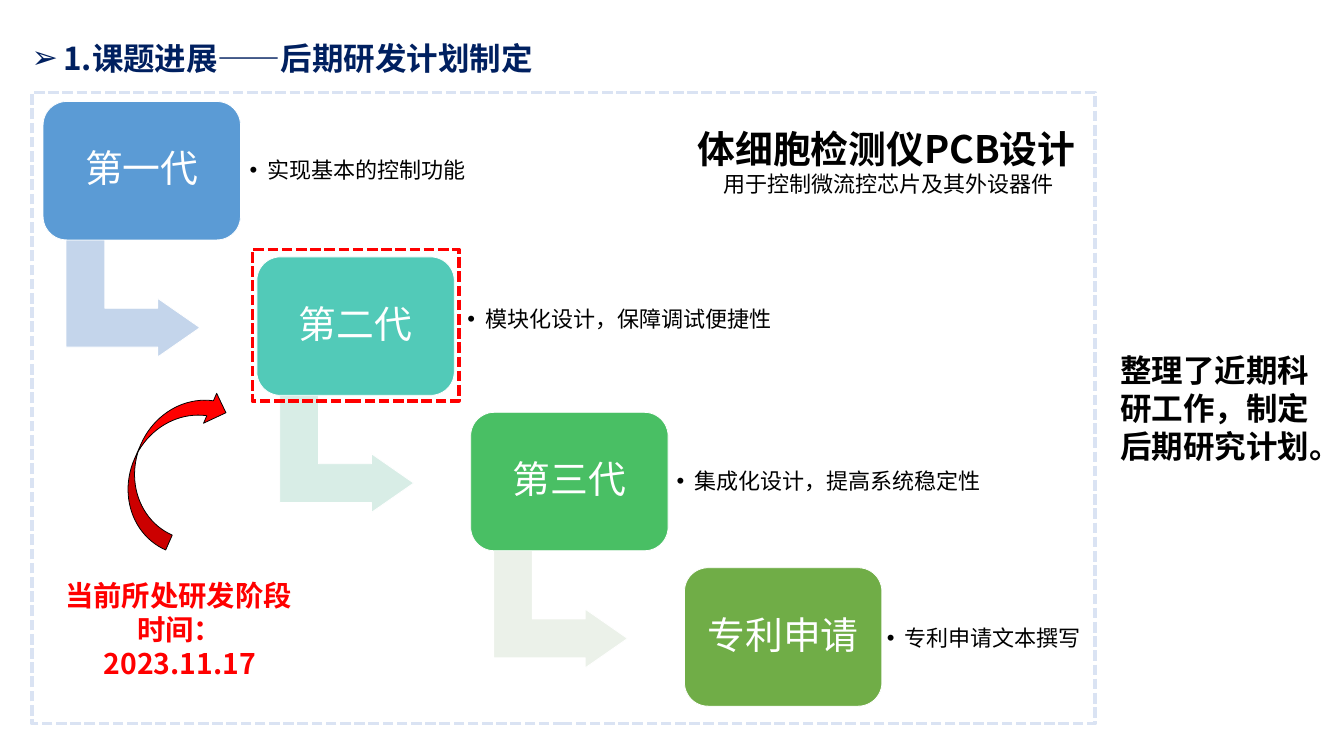
import pptx
import pptx.dml.color
import pptx.enum.dml
import pptx.enum.shapes
import pptx.enum.text
import pptx.oxml.ns
import pptx.util
import lxml.etree

Pt = pptx.util.Pt
SHAPE = pptx.enum.shapes.MSO_SHAPE
ALIGN = pptx.enum.text.PP_ALIGN
ANCHOR = pptx.enum.text.MSO_ANCHOR
qn = pptx.oxml.ns.qn


def colour(value):
    return pptx.dml.color.RGBColor.from_string(value)


def assign(target, values):
    for name, value in values.items():
        setattr(target, name, value)


class Page:
    """Hold the style of the deck and draw elements on the current slide."""

    font = "Noto Sans CJK SC"

    def __init__(self, deck):
        self.slide = deck.slides.add_slide(deck.slide_layouts[5])

    def fill_text(self, box, lines, anchor=ANCHOR.TOP, inset=None):
        frame = box.text_frame
        assign(frame, {"word_wrap": True, "vertical_anchor": anchor,
                       "auto_size": pptx.enum.text.MSO_AUTO_SIZE.NONE})
        if inset is not None:
            sides = ("left", "right", "top", "bottom")
            assign(frame, {f"margin_{side}": Pt(inset) for side in sides})
        for index, line in enumerate(lines):
            para = frame.add_paragraph() if index else frame.paragraphs[0]
            self.line(para, **line)

    def line(self, para, text, size, ink="000000", bold=False, align=ALIGN.LEFT,
             spacing=1.0, after=0, bullet=None, indent=0, font=None):
        if bullet:
            properties = para._p.get_or_add_pPr()
            properties.set("marL", str(Pt(indent)))
            properties.set("indent", str(Pt(-indent)))
            face = lxml.etree.SubElement(properties, qn("a:buFont"))
            face.set("typeface", "Arial")
            lxml.etree.SubElement(properties, qn("a:buChar")).set("char", bullet)
        assign(para, {"alignment": align, "line_spacing": spacing, "space_after": Pt(after)})
        span = para.add_run()
        span.text = text
        assign(span.font, {"name": font or self.font, "size": Pt(size), "bold": bold})
        span.font.color.rgb = colour(ink)
        properties = span.font._element
        properties.set("lang", "zh-CN")
        east_asian = lxml.etree.Element(qn("a:ea"))
        east_asian.set("typeface", self.font)
        properties.find(qn("a:latin")).addnext(east_asian)

    def title(self, place, **line):
        box = self.slide.shapes.title
        assign(box, dict(zip(("left", "top", "width", "height"), map(Pt, place))))
        self.fill_text(box, [line])

    def text(self, place, *lines, **layout):
        box = self.slide.shapes.add_textbox(*map(Pt, place))
        self.fill_text(box, lines, **layout)

    def shape(self, kind, place, fill=None, line="FFFFFF", width=1, dash=None,
              rotation=0, adjust=()):
        shape = self.slide.shapes.add_shape(kind, *map(Pt, place))
        shape.shadow.inherit = False
        if fill:
            shape.fill.solid()
            shape.fill.fore_color.rgb = colour(fill)
        else:
            shape.fill.background()
        shape.line.color.rgb = colour(line)
        assign(shape.line, {"width": Pt(width), "dash_style": dash})
        shape.rotation = rotation
        for index, value in enumerate(adjust):
            shape.adjustments[index] = value
        return shape

    def dashed_frame(self, place, line):
        self.shape(SHAPE.RECTANGLE, place, line=line, width=4.5,
                   dash=pptx.enum.dml.MSO_LINE.SQUARE_DOT)


def main():
    deck = pptx.Presentation()
    assign(deck, {"slide_width": Pt(1706.4), "slide_height": Pt(959.76)})
    page = Page(deck)
    page.title((33.1, 31, 976.3, 64.1), text="1.课题进展——后期研发计划制定", size=40,
               ink="002060", bold=True, spacing=1.3, after=10.7, bullet="➢", indent=40)

    generations = [
        ("第一代", "5B9BD5", "C4D5EB", "实现基本的控制功能", (306, 146.9, 447.1)),
        ("第二代", "52CAB8", "D8EDE6", "模块化设计，保障调试便捷性", (582.5, 335.5, 547.9)),
        ("第三代", "49BF64", "EBF1E9", "集成化设计，提高系统稳定性", (848.2, 541.4, 420.5)),
        ("专利申请", "70AD47", None, "专利申请文本撰写", (1115.3, 740.2, 275)),
    ]
    for step, (name, fill, arrow_fill, goal, (left, top, width)) in enumerate(generations):
        across, down = 271.45 * step, 197.3 * step
        if arrow_fill:
            page.shape(SHAPE.BENT_UP_ARROW, (94.3 + across, 293.8 + down, 149, 169.9),
                       arrow_fill, rotation=90, adjust=(0.33, 0.25, 0.36))
        card = page.shape(SHAPE.ROUNDED_RECTANGLE,
                          (54.7 + across, 128.9 + down, 250.6, 175.7), fill, adjust=(0.17,))
        page.fill_text(card, [dict(text=name, size=48, ink="FFFFFF", align=ALIGN.CENTER,
                                   spacing=0.9)], anchor=ANCHOR.MIDDLE, inset=14.4)
        page.text((left, top, width, 141.8),
                  dict(text=goal, size=28, spacing=0.9, bullet="•", indent=22.5),
                  anchor=ANCHOR.MIDDLE, inset=10.8)

    page.dashed_frame((320.4, 316.8, 262.1, 192.2), "FF0000")
    stage = dict(size=36, ink="FF0000", bold=True)
    page.text((75.6, 730.8, 305.3, 94.3), dict(text="当前所处研发阶段", **stage),
              dict(text="时间：2023.11.17", align=ALIGN.CENTER, **stage))
    page.shape(SHAPE.CURVED_DOWN_ARROW, (109.4, 543.6, 211, 82.8), "FF0000",
               line="000000", rotation=293.7)
    page.text((878.4, 155.5, 499, 99.4),
              dict(text="体细胞检测仪PCB设计", size=48, bold=True),
              dict(text="用于控制微流控芯片及其外设器件", size=28, align=ALIGN.CENTER))
    page.dashed_frame((41, 117.4, 1349.3, 801.4), "DAE3F3")
    page.text((1415.5, 442.1, 282.2, 152.6),
              dict(text="整理了近期科研工作，制定后期研究计划。", size=40, bold=True, font="Lato"))
    deck.save("out.pptx")


if __name__ == "__main__":
    main()
